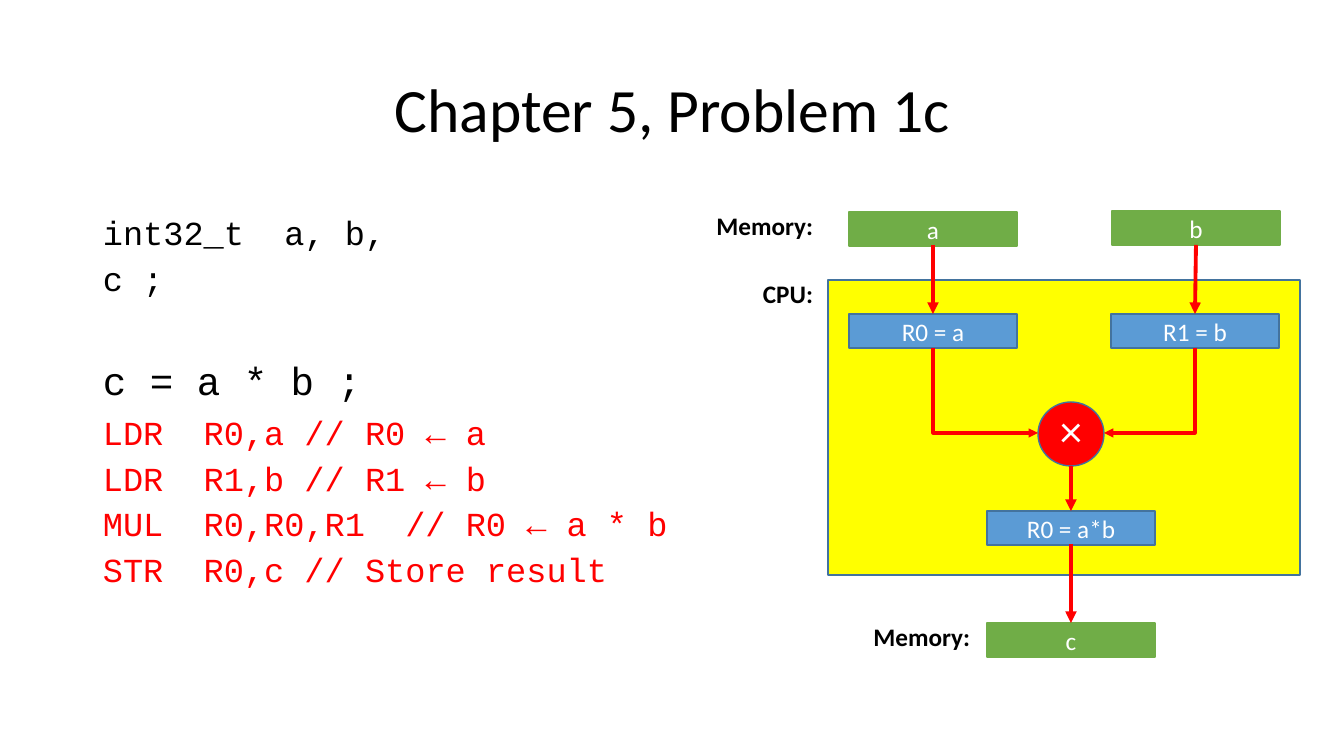
from lxml import etree
from pptx import Presentation
from pptx.dml.color import RGBColor
from pptx.enum.shapes import MSO_CONNECTOR, MSO_SHAPE
from pptx.enum.text import MSO_ANCHOR, PP_ALIGN
from pptx.oxml.ns import qn
from pptx.util import Pt

PX = 914400 / 100.8
RECT, OVAL = MSO_SHAPE.RECTANGLE, MSO_SHAPE.OVAL
STRAIGHT, ELBOW = MSO_CONNECTOR.STRAIGHT, MSO_CONNECTOR.ELBOW
LEFT, CENTER, RIGHT = PP_ALIGN.LEFT, PP_ALIGN.CENTER, PP_ALIGN.RIGHT
TOP, MIDDLE = MSO_ANCHOR.TOP, MSO_ANCHOR.MIDDLE

BLACK = RGBColor(0, 0, 0)
WHITE = RGBColor(255, 255, 255)
RED = RGBColor(255, 0, 0)
YELLOW = RGBColor(255, 255, 0)
BLUE = RGBColor(0x5B, 0x9B, 0xD5)
BLUE_EDGE = RGBColor(0x43, 0x73, 0x9E)
GREEN = RGBColor(0x70, 0xAD, 0x47)

CELL_W, CELL_H = 168, 34


def emu(*pixels):
    return [round(p * PX) for p in pixels]


def write(frame, lines, color, size=18, font="Calibri", align=LEFT,
          anchor=TOP, bold=False, spacing=1.0):
    """Fill a text frame with one paragraph per line."""
    frame.word_wrap = True
    frame.vertical_anchor = anchor
    for i, line in enumerate(lines):
        paragraph = frame.paragraphs[0] if i == 0 else frame.add_paragraph()
        paragraph.alignment = align
        paragraph.line_spacing = spacing
        run = paragraph.add_run()
        run.text = line
        run.font.color.rgb = color
        for name, value in dict(name=font, size=Pt(size), bold=bold).items():
            setattr(run.font, name, value)


def add_text(slide, box, lines, color, **style):
    frame = slide.shapes.add_textbox(*emu(*box)).text_frame
    write(frame, lines, color, **style)
    return frame


def add_block(slide, box, fill, edge, kind=RECT, label=None):
    block = slide.shapes.add_shape(kind, *emu(*box))
    block.shadow.inherit = False
    block.fill.solid()
    block.fill.fore_color.rgb = fill
    block.line.color.rgb = edge
    block.line.width = Pt(1)
    if label:
        write(block.text_frame, [label], WHITE, align=CENTER, anchor=MIDDLE)


def add_arrow(slide, start, end, width=2.75, kind=STRAIGHT):
    arrow = slide.shapes.add_connector(kind, *emu(*start, *end))
    arrow.line.color.rgb = RED
    arrow.line.width = Pt(width)
    etree.SubElement(arrow.line._get_or_add_ln(), qn("a:tailEnd"), type="triangle")
    etree.SubElement(arrow._element.spPr, qn("a:effectLst"))
    return arrow


def add_corner_arrow(slide, start, end):
    """Arrow that drops from start, then turns sideways to end."""
    arrow = add_arrow(slide, start, end, 2.25, ELBOW)
    run, drop = end[0] - start[0], end[1] - start[1]
    middle_x, middle_y = (start[0] + end[0]) / 2, (start[1] + end[1]) / 2
    span = abs(run)
    # The box is turned a quarter, so its width and height swap
    arrow.left, arrow.top, arrow.width, arrow.height = emu(
        middle_x - drop / 2, middle_y - span / 2, drop, span)
    xfrm = arrow._element.spPr.find(qn("a:xfrm"))
    for flip in ("flipH", "flipV"):
        xfrm.attrib.pop(flip, None)
    xfrm.set("rot", str((270 if run > 0 else 90) * 60000))
    if run > 0:
        xfrm.set("flipH", "1")
    arrow._element.spPr.find(qn("a:prstGeom")).set("prst", "bentConnector2")


def add_title(slide, box):
    title = slide.shapes.title
    title.left, title.top, title.width, title.height = emu(*box)
    write(title.text_frame, ["Chapter 5, Problem 1c"], BLACK, size=44,
          align=CENTER, anchor=MIDDLE, spacing=0.9)


def add_code(slide, box):
    x, y, width, height = box
    code = dict(font="Courier New", size=24, spacing=1.13)
    # C source
    source = add_text(slide, (x, y, 365, 169),
                      ["int32_t  a, b, c ;", "c = a * b ;"], BLACK, **code)
    statement = source.paragraphs[1]
    statement.space_before = Pt(37)
    statement.runs[0].font.size = Pt(28)
    # Assembly
    add_text(slide, (x, y + 200, width, height - 200),
             ["LDR\tR0,a\t// R0 ← a", "LDR\tR1,b\t// R1 ← b",
              "MUL\tR0,R0,R1\t// R0 ← a * b", "STR\tR0,c\t// Store result"],
             RED, **code)


def add_data_flow(slide, box):
    x, y, width, height = box
    left_x, right_x, result_x = x + 163, x + 426, x + 301
    register_y, result_y, store_y = y + 103, y + 300, y + 412
    center = CELL_W // 2
    times_x, times_y, times_w, times_h = x + 352, y + 191, 66, 64

    # CPU
    add_block(slide, (x + 142, y + 69, width - 142, 295), YELLOW, BLUE_EDGE)

    # Memory cells and registers
    for label, cell_x, cell_y, fill, edge in [
            ("a", left_x, y + 1, GREEN, GREEN),
            ("b", right_x, y, GREEN, GREEN),
            ("R0 = a", left_x, register_y, BLUE, BLUE_EDGE),
            ("R1 = b", right_x - 1, register_y, BLUE, BLUE_EDGE),
            ("R0 = a*b", result_x, result_y, BLUE, BLUE_EDGE),
            ("c", result_x, store_y, GREEN, GREEN)]:
        add_block(slide, (cell_x, cell_y, CELL_W, CELL_H), fill, edge, label=label)

    # Multiplier
    add_block(slide, (times_x, times_y, times_w, times_h), RED, BLUE_EDGE, OVAL)
    add_text(slide, (x + 364, y + 187, 54, 65), ["×"], WHITE, size=32)

    # Loads, product and store
    result_center = result_x + center
    for start, end in [
            ((left_x + center, y + CELL_H), (left_x + center, register_y)),
            ((right_x + center, y + CELL_H), (right_x + center - 1, register_y)),
            ((result_center, times_y + times_h), (result_center, result_y)),
            ((result_center, result_y + CELL_H - 1), (result_center, store_y))]:
        add_arrow(slide, start, end)

    # Operands into the multiplier
    operand_y, input_y = register_y + CELL_H, times_y + times_h // 2 - 1
    add_corner_arrow(slide, (left_x + center, operand_y), (times_x, input_y))
    add_corner_arrow(slide, (right_x + center - 1, operand_y),
                     (times_x + times_w, input_y))

    # Row labels
    for label, label_x, label_y in [("Memory:", x, y - 6), ("CPU:", x, y + 62),
                                    ("Memory:", x + 157, y + 405)]:
        add_text(slide, (label_x, label_y, 137, 40), [label], BLACK,
                 align=RIGHT, bold=True)


presentation = Presentation()
presentation.slide_width, presentation.slide_height = emu(1344, 756)
slide = presentation.slides.add_slide(presentation.slide_layouts[5])
add_title(slide, (93, 40, 1159, 146))
add_code(slide, (93, 202, 757, 385))
add_data_flow(slide, (686, 211, 614, 446))
presentation.save("out.pptx")
